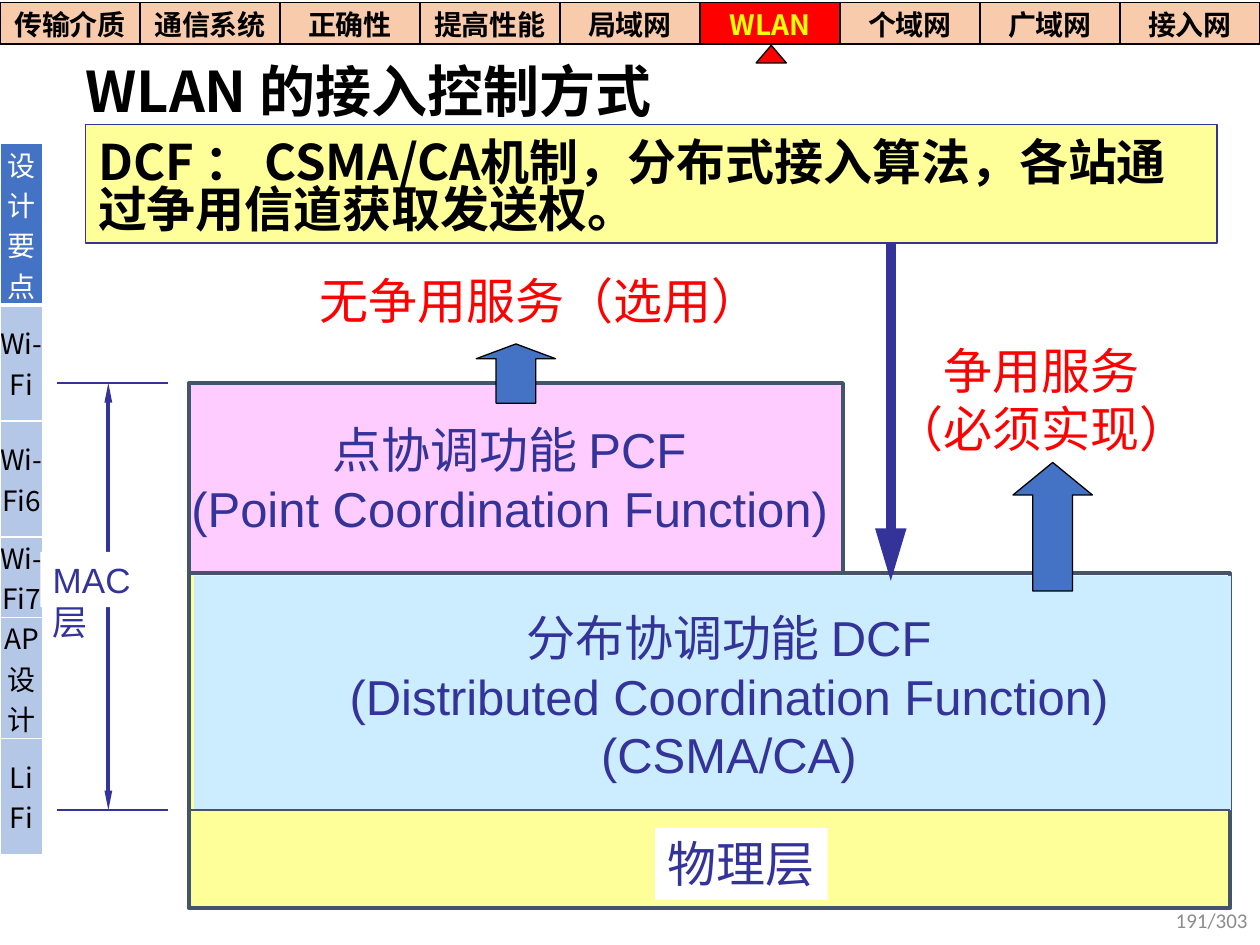
from lxml import etree
from pptx import Presentation
from pptx.dml.color import RGBColor
from pptx.enum.shapes import MSO_CONNECTOR, MSO_SHAPE
from pptx.enum.text import MSO_ANCHOR, PP_ALIGN
from pptx.oxml.ns import qn
from pptx.util import Inches, Pt

RECT = MSO_SHAPE.RECTANGLE
UP_ARROW = MSO_SHAPE.UP_ARROW
MARKER = MSO_SHAPE.FLOWCHART_EXTRACT
STRAIGHT = MSO_CONNECTOR.STRAIGHT
LEFT, CENTER, RIGHT = PP_ALIGN.LEFT, PP_ALIGN.CENTER, PP_ALIGN.RIGHT
TOP, MIDDLE, BOTTOM = MSO_ANCHOR.TOP, MSO_ANCHOR.MIDDLE, MSO_ANCHOR.BOTTOM
CJK, LATIN, NUMBER = "Noto Sans CJK SC", "Arial", "Calibri"

COLORS = {
    "black": "000000", "white": "FFFFFF", "red": "FF0000", "yellow": "FFFF00",
    "navy": "333399", "slate": "44546A", "blue": "4472C4", "pale_blue": "B4C7E7",
    "peach": "F8CBAD", "cream": "FFFF99", "sky": "CCECFF", "pink": "FFCCFF",
    "gray": "8C8C8C",
}
CHAPTERS = ["传输介质", "通信系统", "正确性", "提高性能", "局域网", "WLAN",
            "个域网", "广域网", "接入网"]
CURRENT_CHAPTER = "WLAN"
TOPICS = [("设计要点", 0.92), ("Wi-\nFi", 0.92), ("Wi-Fi6", 0.92),
          ("Wi-Fi7", 0.55), ("AP设计", 0.69), ("Li\nFi", 0.92)]


def rgb(name):
    return RGBColor.from_string(COLORS[name])


def write(frame, text, size, color, font=LATIN, bold=False, align=LEFT,
          spacing=None):
    frame.text = text
    for para in frame.paragraphs:
        para.alignment = align
        para.line_spacing = spacing
        for span in para.runs:
            span.font.name = font
            span.font.size = Pt(size)
            span.font.bold = bold
            span.font.color.rgb = rgb(color)
            east_asian = etree.SubElement(span.font._element, qn("a:ea"))
            east_asian.set("typeface", CJK)


def add_label(page, left, top, width, height, text, size, color, wrap=True,
              anchor=TOP, **style):
    box = page.shapes.add_textbox(Inches(left), Inches(top), Inches(width),
                                  Inches(height))
    box.text_frame.word_wrap = wrap
    box.text_frame.vertical_anchor = anchor
    write(box.text_frame, text, size, color, **style)
    return box


def add_block(page, kind, left, top, width, height, fill=None, line=None,
              weight=0.75):
    block = page.shapes.add_shape(kind, Inches(left), Inches(top),
                                  Inches(width), Inches(height))
    block.shadow.inherit = False
    if fill:
        block.fill.solid()
        block.fill.fore_color.rgb = rgb(fill)
    else:
        block.fill.background()
    if line:
        block.line.color.rgb = rgb(line)
        block.line.width = Pt(weight)
    else:
        block.line.fill.background()
    return block


def add_line(page, start, end, color, weight, heads=(), head_width="med"):
    """Draw a line; heads lists the ends with arrowheads (headEnd, tailEnd)."""
    line = page.shapes.add_connector(STRAIGHT, *map(Inches, start + end))
    line.line.color.rgb = rgb(color)
    line.line.width = Pt(weight)
    etree.SubElement(line._element.spPr, qn("a:effectLst"))
    for head in heads:
        etree.SubElement(line.line._get_or_add_ln(), qn("a:" + head),
                         type="triangle", w=head_width, len="lg")


def set_borders(cell, color, **weights):
    """Border a cell in 1 pt, except for the sides named in weights."""
    properties = cell._tc.get_or_add_tcPr()
    for index, side in enumerate(("lnL", "lnR", "lnT", "lnB")):
        width = Pt(weights.get(side, 1))
        border = etree.Element(qn("a:" + side), w=str(int(width)))
        fill = etree.SubElement(border, qn("a:solidFill"))
        etree.SubElement(fill, qn("a:srgbClr"), val=COLORS[color])
        properties.insert(index, border)


def format_cell(cell, text, fill, color, border, bold=False, **weights):
    cell.margin_left = cell.margin_right = 0
    cell.margin_top = cell.margin_bottom = 0
    cell.vertical_anchor = MIDDLE
    cell.fill.solid()
    cell.fill.fore_color.rgb = rgb(fill)
    write(cell.text_frame, text, 16, color, CJK, bold, CENTER)
    set_borders(cell, border, **weights)


def add_chapter_bar(page, left, top, width, height):
    count = len(CHAPTERS)
    table = page.shapes.add_table(1, count, Inches(left), Inches(top),
                                  Inches(width), Inches(height)).table
    for cell, chapter in zip(table.rows[0].cells, CHAPTERS):
        current = chapter == CURRENT_CHAPTER
        format_cell(cell, chapter, "red" if current else "peach",
                    "yellow" if current else "black", "black", bold=True)
    middle = left + width / count * (CHAPTERS.index(CURRENT_CHAPTER) + 0.5)
    add_block(page, MARKER, middle - 0.11, top + height + 0.01, 0.24, 0.14,
              "red", "black")


def add_topic_bar(page, left, top, width):
    total = sum(height for _, height in TOPICS)
    table = page.shapes.add_table(len(TOPICS), 1, Inches(left), Inches(top),
                                  Inches(width), Inches(total)).table
    for index, (topic, height) in enumerate(TOPICS):
        table.rows[index].height = Inches(height)
        cell = table.cell(index, 0)
        if index == 0:
            format_cell(cell, topic, "blue", "white", "white", lnB=3)
        else:
            format_cell(cell, topic, "pale_blue", "black", "white",
                        lnT=3 if index == 1 else 1)


def add_title(page, left, top, width, height):
    title = page.shapes.title
    title.left, title.top = Inches(left), Inches(top)
    title.width, title.height = Inches(width), Inches(height)
    title.text_frame.vertical_anchor = MIDDLE
    title.text_frame.margin_left = Inches(0.39)
    write(title.text_frame, "WLAN 的接入控制方式", 32, "black", CJK, True,
          spacing=0.9)


def add_mac_span(page, left, top, width, height):
    """Dimension arrow that marks the extent of the MAC layer."""
    middle = left + width / 2 - 0.03
    bottom = top + height
    add_line(page, (middle, top), (middle, bottom), "navy", 2.25,
             ("headEnd", "tailEnd"), "sm")
    for y in (top, bottom):
        add_line(page, (left, y), (left + width, y), "navy", 1.5)
    add_block(page, RECT, left - 0.13, top + 1.34, 1.17, 0.44, "white")
    add_label(page, left - 0.13, top + 1.34, 1.17, 0.44, "MAC 层", 20, "navy")


def add_layers(page, left, top, width, height):
    """Stack of PCF over DCF over the physical layer."""
    dcf_top, physical_top = top + 1.51, top + 3.39
    pcf_width = 5.19
    add_block(page, RECT, left, dcf_top, width, height - 1.51, "cream",
              "slate", 2.25)
    add_block(page, RECT, left + 0.04, dcf_top + 0.02, width - 0.03, 1.86, "sky")
    add_block(page, RECT, left, top, pcf_width, 1.51, "pink", "slate", 2.25)
    add_line(page, (left, physical_top), (left + width, physical_top),
             "slate", 1.5)
    add_label(page, left - 0.09, top + 0.24, 5.27, 1.03,
              "点协调功能 PCF\n(Point Coordination Function)", 28, "navy",
              wrap=False, align=CENTER)
    add_label(page, left + 1.16, dcf_top + 0.22, 6.25, 1.5,
              "分布协调功能 DCF\n(Distributed Coordination Function)\n(CSMA/CA)",
              28, "navy", wrap=False, align=CENTER)
    physical = (left + 3.7, physical_top + 0.14, 1.37, 0.57)
    add_block(page, RECT, *physical, "white")
    add_label(page, *physical, "物理层", 28, "navy", wrap=False)


def add_service(page, text, label_box, arrow_box, head, **style):
    add_label(page, *label_box, text, 28, "red", **style)
    arrow = add_block(page, UP_ARROW, *arrow_box, "blue", "black")
    arrow.adjustments[0] = 0.5
    arrow.adjustments[1] = head


def add_definition(page, left, top, width, height):
    add_line(page, (7.07, top + height - 0.08), (7.07, 4.61), "navy", 6,
             ("tailEnd",))
    box = add_block(page, RECT, left, top, width, height, "cream", "navy")
    box.text_frame.word_wrap = True
    box.text_frame.vertical_anchor = BOTTOM
    write(box.text_frame,
          "DCF ： CSMA/CA机制，分布式接入算法，各站通过争用信道获取发送权。",
          28, "black", CJK, True, spacing=0.8)


def main():
    deck = Presentation()
    deck.slide_width, deck.slide_height = Inches(10), Inches(7.5)
    page = deck.slides.add_slide(deck.slide_layouts[5])
    add_title(page, 0.29, 0.38, 9.47, 0.74)
    add_chapter_bar(page, 0, 0.02, 10, 0.33)
    add_topic_bar(page, 0, 1.14, 0.34)
    add_mac_span(page, 0.45, 3.04, 0.88, 3.39)
    add_layers(page, 1.5, 3.04, 8.26, 4.17)
    add_service(page, "无争用服务（选用）", (2.44, 2.1, 3.94, 0.57),
                (3.78, 2.73, 0.63, 0.47), 0.25)
    add_service(page, "争用服务\n（必须实现）", (7, 2.65, 2.53, 1.03),
                (8.04, 3.67, 0.63, 1.02), 0.41, wrap=False, align=CENTER)
    add_definition(page, 0.68, 0.99, 8.98, 0.94)
    add_label(page, 7.75, 7.1, 2.25, 0.4, "191/303", 12, "gray", anchor=MIDDLE,
              font=NUMBER, align=RIGHT)
    deck.save("out.pptx")


if __name__ == "__main__":
    main()
